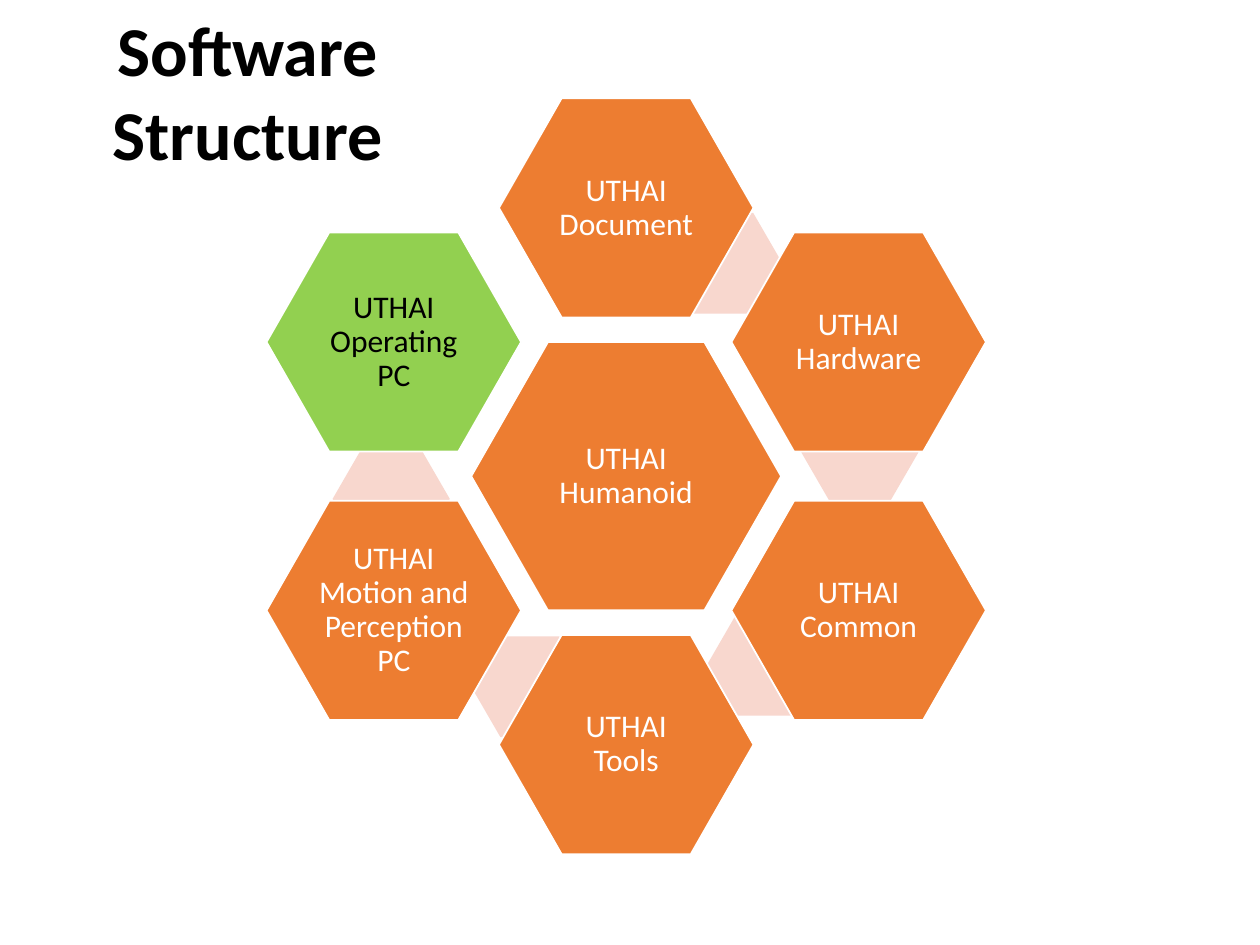
from math import cos, radians, sin

from pptx import Presentation
from pptx.dml.color import RGBColor
from pptx.enum.shapes import MSO_SHAPE
from pptx.enum.text import MSO_ANCHOR, MSO_AUTO_SIZE, PP_ALIGN
from pptx.util import Inches, Pt

ORANGE = RGBColor(0xED, 0x7D, 0x31)
GREEN = RGBColor(0x92, 0xD0, 0x50)
PINK = RGBColor(0xF8, 0xD7, 0xCE)
WHITE = RGBColor(0xFF, 0xFF, 0xFF)
BLACK = RGBColor(0x00, 0x00, 0x00)
FONT = "Calibri"

CENTER_X, CENTER_Y, RING_RADIUS = 4.97, 3.78, 2.13
CORE_SIZE = (2.46, 2.13)
MODULE_SIZE = (2.02, 1.74)
ACCENT_SIZE = (0.93, 0.8)

MODULES = [
    ("Document", ORANGE, WHITE, (5.28, 1.69)),
    ("Hardware", ORANGE, WHITE, (6.36, 3.19)),
    ("Common", ORANGE, WHITE, (5.61, 4.88)),
    ("Tools", ORANGE, WHITE, (3.74, 5.05)),
    ("Motion and Perception PC", ORANGE, WHITE, (2.64, 3.56)),
    ("Operating PC", GREEN, BLACK, None),
]


def format_runs(paragraph, size, color, bold=False):
    """Center a paragraph and set the font of its runs."""
    paragraph.alignment = PP_ALIGN.CENTER
    for run in paragraph.runs:
        run.font.name = FONT
        run.font.size = Pt(size)
        run.font.bold = bold
        run.font.color.rgb = color


def set_title(slide, text):
    """Place the slide title in the top left corner."""
    title = slide.shapes.title
    title.left, title.top = Inches(0), Inches(0)
    title.width, title.height = Inches(3.93), Inches(1.43)
    text_frame = title.text_frame
    text_frame.text = text
    text_frame.word_wrap = True
    text_frame.auto_size = MSO_AUTO_SIZE.NONE
    text_frame.vertical_anchor = MSO_ANCHOR.TOP
    format_runs(text_frame.paragraphs[0], 40, BLACK, bold=True)


def add_hexagon(slide, left, top, size, fill, adjustment):
    """Add a flat hexagon without an outline."""
    width, height = size
    shape = slide.shapes.add_shape(
        MSO_SHAPE.HEXAGON, Inches(left), Inches(top), Inches(width), Inches(height)
    )
    shape.adjustments[0] = adjustment
    shape.shadow.inherit = False
    shape.fill.solid()
    shape.fill.fore_color.rgb = fill
    shape.line.fill.background()
    return shape


def add_module(slide, name, center_x, center_y, size, fill, color):
    """Add a labelled hexagon around a center point."""
    width, height = size
    shape = add_hexagon(
        slide, center_x - width / 2, center_y - height / 2, size, fill, 0.286
    )
    shape.line.color.rgb = WHITE
    shape.line.width = Pt(1)
    text_frame = shape.text_frame
    text_frame.text = f"UTHAI\v{name}"
    text_frame.word_wrap = True
    text_frame.vertical_anchor = MSO_ANCHOR.MIDDLE
    text_frame.margin_left = text_frame.margin_right = Inches(0.03)
    text_frame.margin_top = text_frame.margin_bottom = Inches(0.03)
    paragraph = text_frame.paragraphs[0]
    paragraph.line_spacing = 0.9
    format_runs(paragraph, 18, color)


def add_ring(slide):
    """Add the outer modules clockwise from the top, each over its accent."""
    for index, (name, fill, color, accent) in enumerate(MODULES):
        if accent:
            add_hexagon(slide, *accent, ACCENT_SIZE, PINK, 0.289)
        angle = radians(index * 360 / len(MODULES))
        center_x = CENTER_X + RING_RADIUS * sin(angle)
        center_y = CENTER_Y - RING_RADIUS * cos(angle)
        add_module(slide, name, center_x, center_y, MODULE_SIZE, fill, color)


def main():
    """Build the software structure slide."""
    presentation = Presentation()
    presentation.slide_width, presentation.slide_height = Inches(10), Inches(7.5)
    slide = presentation.slides.add_slide(presentation.slide_layouts[5])
    set_title(slide, "Software Structure")
    add_module(slide, "Humanoid", CENTER_X, CENTER_Y, CORE_SIZE, ORANGE, WHITE)
    add_ring(slide)
    presentation.save("out.pptx")


if __name__ == "__main__":
    main()
